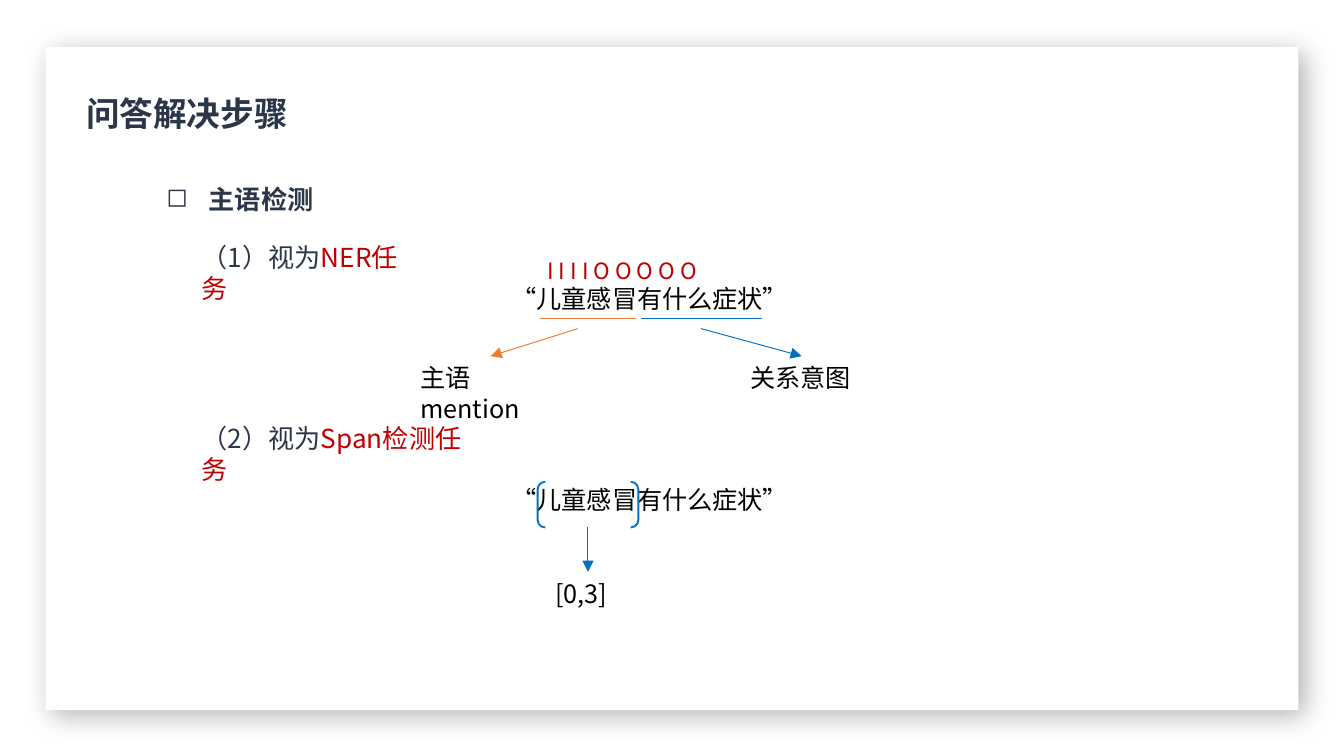
import dataclasses
import typing

import lxml.etree
import pptx
import pptx.dml.color
import pptx.enum.shapes
import pptx.enum.text
import pptx.oxml
import pptx.oxml.ns
import pptx.util

EMU_PER_PX = 4572  # 200 px to the inch


@dataclasses.dataclass(frozen=True)
class Theme:
    font: str = "Noto Sans CJK SC"
    white: str = "FFFFFF"
    black: str = "000000"
    navy: str = "2B3649"
    red: str = "C00000"
    orange: str = "ED7D31"
    blue: str = "0070C0"
    title: float = 18
    body: float = 14
    example: float = 13.5
    tags: float = 12
    thin: float = 0.5
    bracket: float = 1


THEME = Theme()


class Box(typing.NamedTuple):
    left: int
    top: int
    width: int
    height: int


class Run(typing.NamedTuple):
    text: str
    color: str = THEME.black
    bold: bool = False


@dataclasses.dataclass(frozen=True)
class Label:
    box: Box
    runs: tuple[Run, ...]
    size: float = THEME.example
    bullet: str = ""


@dataclasses.dataclass(frozen=True)
class Line:
    start: tuple[int, int]
    end: tuple[int, int]
    color: str


def px(value: int) -> int:
    return pptx.util.Emu(value * EMU_PER_PX)


def rgb(color: str) -> pptx.dml.color.RGBColor:
    return pptx.dml.color.RGBColor.from_string(color)


def apply(target: typing.Any, formats: dict[str, typing.Any]) -> None:
    for name, value in formats.items():
        setattr(target, name, value)


def place(shape: typing.Any, box: Box) -> None:
    apply(shape, {name: px(value) for name, value in box._asdict().items()})


def write(paragraph: typing.Any, runs: tuple[Run, ...], size: float) -> None:
    paragraph.alignment = pptx.enum.text.PP_ALIGN.LEFT
    for item in runs:
        run = paragraph.add_run()
        run.text = item.text
        apply(run.font, {"name": THEME.font, "size": pptx.util.Pt(size), "bold": item.bold})
        run.font.color.rgb = rgb(item.color)
        east_asian = lxml.etree.SubElement(run.font._element, pptx.oxml.ns.qn("a:ea"))
        east_asian.set("typeface", THEME.font)


def add_bullet(paragraph: typing.Any, character: str, indent: int) -> None:
    properties = paragraph._p.get_or_add_pPr()
    properties.set("marL", str(px(indent)))
    properties.set("indent", str(-px(indent)))
    bullet = lxml.etree.SubElement(properties, pptx.oxml.ns.qn("a:buChar"))
    bullet.set("char", character)


def add_label(slide: typing.Any, label: Label) -> typing.Any:
    shape = slide.shapes.add_textbox(*map(px, label.box))
    apply(shape.text_frame, {
        "word_wrap": True,
        "auto_size": pptx.enum.text.MSO_AUTO_SIZE.SHAPE_TO_FIT_TEXT,
    })
    paragraph = shape.text_frame.paragraphs[0]
    write(paragraph, label.runs, label.size)
    if label.bullet:
        add_bullet(paragraph, label.bullet, 63)
    return shape


def add_line(slide: typing.Any, line: Line, arrow: bool = False) -> typing.Any:
    connector = slide.shapes.add_connector(
        pptx.enum.shapes.MSO_CONNECTOR.STRAIGHT, *map(px, line.start + line.end))
    connector.line.color.rgb = rgb(line.color)
    connector.line.width = pptx.util.Pt(THEME.thin)
    if arrow:
        tail = lxml.etree.SubElement(connector.line._get_or_add_ln(), pptx.oxml.ns.qn("a:tailEnd"))
        tail.set("type", "triangle")
    lxml.etree.SubElement(connector._element.spPr, pptx.oxml.ns.qn("a:effectLst"))
    return connector


def add_card(slide: typing.Any, box: Box) -> None:
    card = slide.shapes.add_shape(pptx.enum.shapes.MSO_SHAPE.RECTANGLE, *map(px, box))
    card.fill.solid()
    card.fill.fore_color.rgb = rgb(THEME.white)
    card.line.fill.background()
    card._element.spPr.append(pptx.oxml.parse_xml(
        f'<a:effectLst {pptx.oxml.ns.nsdecls("a")}>'
        f'<a:outerShdw blurRad="{pptx.util.Pt(15)}" dist="{pptx.util.Pt(5)}" dir="{45 * 60000}">'
        f'<a:srgbClr val="{THEME.black}"><a:alpha val="30000"/></a:srgbClr>'
        '</a:outerShdw></a:effectLst>'))
    slide.shapes._spTree.insert(2, card._element)  # behind the title


def set_title(slide: typing.Any, text: str, box: Box) -> None:
    title = slide.shapes.title
    place(title, box)
    apply(title.text_frame, {
        "margin_left": 0, "margin_top": 0, "margin_right": 0, "margin_bottom": px(10),
        "word_wrap": False,
        "auto_size": pptx.enum.text.MSO_AUTO_SIZE.SHAPE_TO_FIT_TEXT,
        "vertical_anchor": pptx.enum.text.MSO_ANCHOR.TOP,
    })
    paragraph = title.text_frame.paragraphs[0]
    paragraph.line_spacing = pptx.util.Pt(27)
    write(paragraph, (Run(text, THEME.navy, True),), THEME.title)


def main() -> None:
    presentation = pptx.Presentation()
    apply(presentation, {"slide_width": px(2000), "slide_height": px(1125)})
    slide = presentation.slides.add_slide(presentation.slide_layouts[5])

    # Card and headings
    add_card(slide, Box(68, 70, 1864, 987))
    set_title(slide, "问答解决步骤", Box(128, 123, 302, 78))
    add_label(slide, Label(Box(228, 263, 260, 68), (Run("主语检测", THEME.navy, True),),
                           THEME.body, "◻"))

    # The two approaches, each with the same example question
    for number, task, top, width, question_top in (
            (1, "NER任务", 349, 354, 412), (2, "Span检测任务", 618, 452, 711)):
        runs = (Run(f"（{number}）视为", THEME.navy), Run(task, THEME.red))
        add_label(slide, Label(Box(280, top, width, 68), runs, THEME.body))
        add_label(slide, Label(Box(742, question_top, 472, 68), (Run("“儿童感冒有什么症状”"),)))

    # Approach 1: tags, underlined parts and what they stand for
    add_label(slide, Label(Box(795, 373, 326, 60), (Run("I I I I O O O O O", THEME.red),),
                           THEME.tags))
    for text, box, color, left, right, arrow_start in (
            ("主语mention", Box(606, 530, 248, 66), THEME.orange, 804, 946, 860),
            ("关系意图", Box(1097, 530, 192, 66), THEME.blue, 954, 1134, 1043)):
        meaning = add_label(slide, Label(box, (Run(text),)))
        add_line(slide, Line((left, 474), (right, 474), color))
        arrow = add_line(slide, Line((arrow_start, 489), (box.left, box.top), color), arrow=True)
        arrow.end_connect(meaning, 0)

    # Approach 2: bracketed span and its indices
    bracket = slide.shapes.add_shape(
        pptx.enum.shapes.MSO_SHAPE.DOUBLE_BRACKET, *map(px, Box(800, 717, 150, 68)))
    bracket.shadow.inherit = False
    bracket.fill.background()
    bracket.line.color.rgb = rgb(THEME.blue)
    bracket.line.width = pptx.util.Pt(THEME.bracket)
    indices = add_label(slide, Label(Box(807, 851, 136, 66), (Run("[0,3]"),)))
    arrow = add_line(slide, Line((875, 785), (875, 851), THEME.blue), arrow=True)
    arrow.begin_connect(bracket, 2)
    arrow.end_connect(indices, 0)

    presentation.save("out.pptx")


if __name__ == "__main__":
    main()
